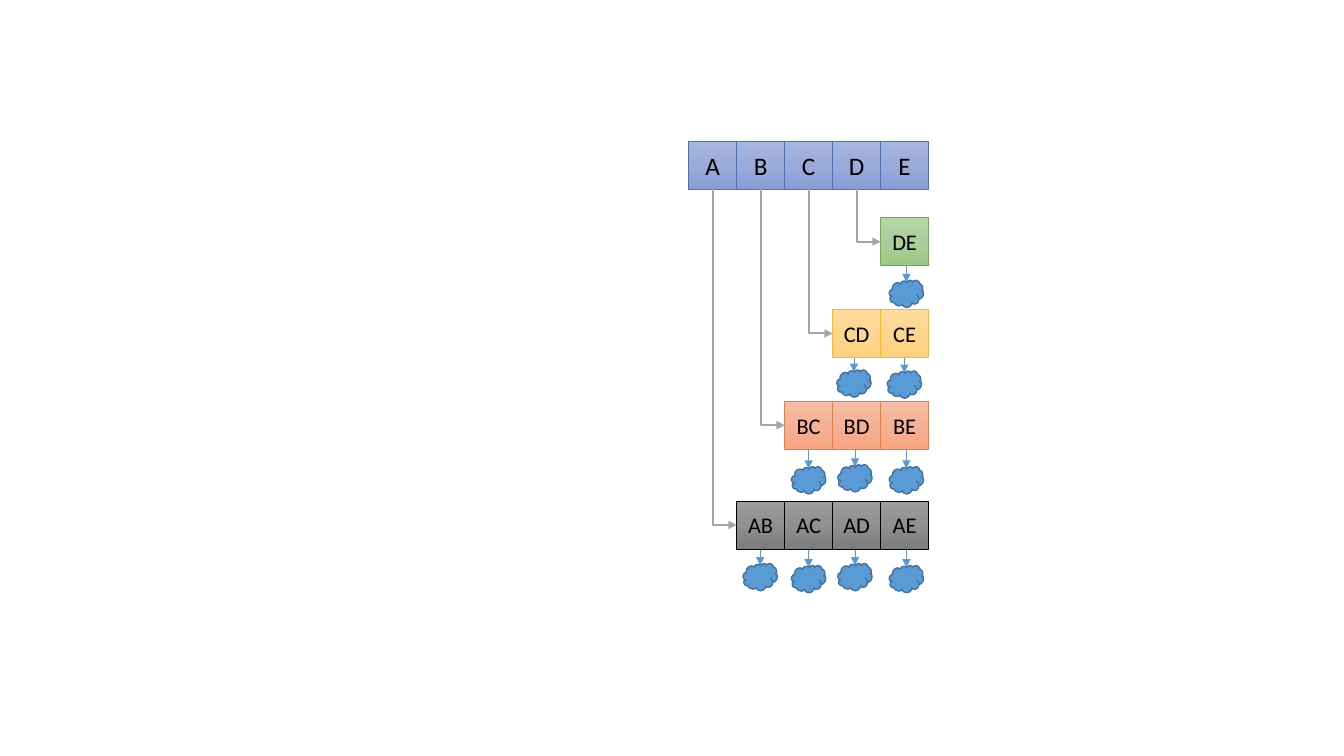
from copy import deepcopy

from lxml import etree
from pptx import Presentation
from pptx import util as u
from pptx.dml.color import RGBColor
from pptx.enum import shapes, text
from pptx.oxml.ns import qn

# Content: top, first column, labels, colour, cloud places (centre x, top y)
HEADER = (1.4, 0, "A B C D E", "blue", [])
PAIR_ROWS = [
    (4.97, 1, "AB AC AD AE", "grey",
     [(7.54, 5.59), (8.02, 5.61), (8.48, 5.59), (8.99, 5.61)]),
    (3.98, 2, "BC BD BE", "orange",
     [(8.02, 4.63), (8.48, 4.61), (8.99, 4.63)]),
    (3.07, 3, "CD CE", "gold", [(8.47, 3.67), (8.97, 3.68)]),
    (2.16, 4, "DE", "green", [(8.99, 2.78)]),
]

THEME = {
    "font": "Calibri", "header_size": 18, "pair_size": 16, "text": "000000",
    "cloud": "5B9BD5", "cloud_line": "43739E", "branch": "A5A5A5",
    # three gradient stops, then the outline
    "blue": ("A8B7DF", "9AABD9", "889ED7", "4472C4"),
    "grey": ("9D9D9D", "909090", "7C7C7C", "000000"),
    "orange": ("F7BDA5", "F5B196", "F8A582", "ED7D31"),
    "gold": ("FFDB9E", "FFD590", "FFD07C", "FFC000"),
    "green": ("B5D5A7", "AACE9A", "9CC987", "70AD47"),
}

# Grid
LEFT, CELL = 6.83, 0.476
CLOUD_W, CLOUD_H = 0.34, 0.27
ARROW_RISE, ARROW_DIP = 0.24, 0.02


def column_x(column):
    return LEFT + column * CELL


def colour(name):
    return RGBColor.from_string(name)


def add_arrow(slide, kind, start, end, line_colour, width):
    c = slide.shapes.add_connector(kind, *(u.Inches(v) for v in start + end))
    c.line.color.rgb = colour(line_colour)
    c.line.width = u.Pt(width)
    etree.SubElement(c.line._get_or_add_ln(), qn("a:tailEnd"), type="triangle")
    etree.SubElement(c._element.spPr, qn("a:effectLst"))
    return c


def add_box(slide, kind, left, top, width, height, line_colour, line_width):
    sp = slide.shapes.add_shape(
        kind, *(u.Inches(v) for v in (left, top, width, height)))
    sp.shadow.inherit = False
    sp.line.color.rgb = colour(line_colour)
    sp.line.width = u.Pt(line_width)
    return sp


def add_row(slide, row, size):
    top, first, labels, palette, _ = row
    *stops, outline = THEME[palette]
    for column, label in enumerate(labels.split(), first):
        sp = add_box(slide, shapes.MSO_SHAPE.RECTANGLE, column_x(column), top,
                     CELL, CELL, outline, 0.5)
        sp.fill.gradient()
        sp.fill.gradient_angle = 270
        stop_list = sp._element.spPr.find(".//" + qn("a:gsLst"))
        stop_list.append(deepcopy(stop_list[0]))
        for i, stop in enumerate(sp.fill.gradient_stops):
            stop.position = i / 2
            stop.color.rgb = colour(stops[i])
        tf = sp.text_frame
        tf.word_wrap = False
        tf.vertical_anchor = text.MSO_ANCHOR.MIDDLE
        p = tf.paragraphs[0]
        p.text = label
        p.alignment = text.PP_ALIGN.CENTER
        p.font.name, p.font.size = THEME["font"], u.Pt(size)
        p.font.color.rgb = colour(THEME["text"])


def add_branch(slide, row):
    """Elbow from the header cell down, then right to the row's first cell."""
    top, first = row[:2]
    start_y, end_y = HEADER[0] + CELL, top + CELL / 2
    drop, run = end_y - start_y, CELL / 2
    # The elbow is laid flat around its centre, then turned by 270 degrees
    mid_x, mid_y = column_x(first) - run / 2, (start_y + end_y) / 2
    c = add_arrow(slide, shapes.MSO_CONNECTOR.ELBOW,
                  (mid_x + drop / 2, mid_y - run / 2),
                  (mid_x - drop / 2, mid_y + run / 2), THEME["branch"], 1.5)
    c._element.spPr.find(qn("a:xfrm")).set("rot", str(270 * 60000))
    c._element.spPr.find(qn("a:prstGeom")).set("prst", "bentConnector2")


def main():
    prs = Presentation()
    prs.slide_width, prs.slide_height = u.Inches(13.33), u.Inches(7.5)
    slide = prs.slides.add_slide(prs.slide_layouts[6])
    clouds = [place for row in PAIR_ROWS for place in row[-1]]

    # Small arrows, behind the cells
    for x, y in clouds:
        add_arrow(slide, shapes.MSO_CONNECTOR.STRAIGHT, (x, y - ARROW_RISE),
                  (x, y + ARROW_DIP), THEME["cloud"], 0.5)

    # Cells
    add_row(slide, HEADER, THEME["header_size"])
    for row in PAIR_ROWS:
        add_row(slide, row, THEME["pair_size"])

    # Branches from the header
    for row in PAIR_ROWS:
        add_branch(slide, row)

    # Clouds
    for x, y in clouds:
        sp = add_box(slide, shapes.MSO_SHAPE.CLOUD, x - CLOUD_W / 2, y,
                     CLOUD_W, CLOUD_H, THEME["cloud_line"], 1)
        sp.fill.solid()
        sp.fill.fore_color.rgb = colour(THEME["cloud"])

    prs.save("out.pptx")


if __name__ == "__main__":
    main()
